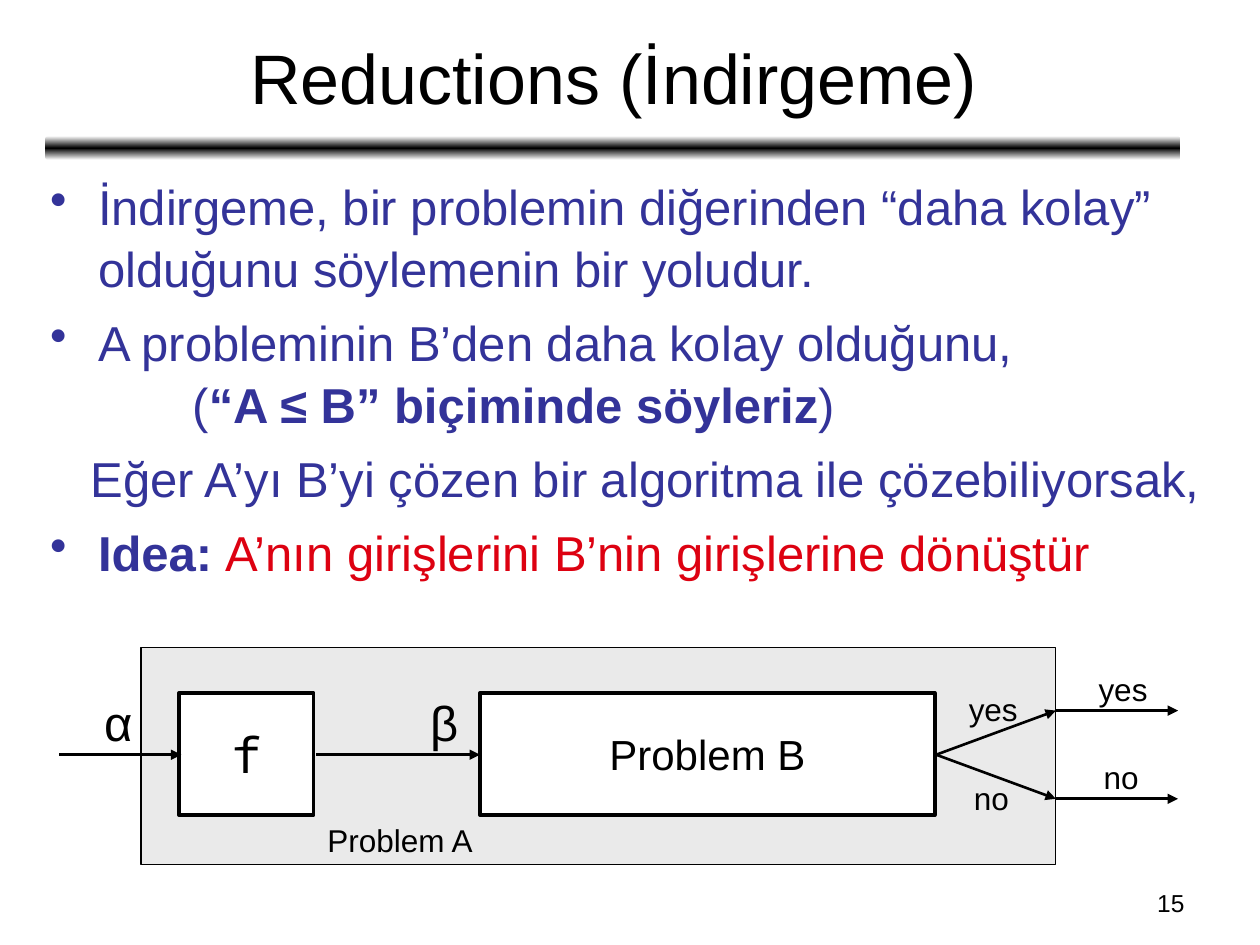
from copy import deepcopy

from pptx import Presentation
from pptx.dml.color import RGBColor
from pptx.enum.shapes import MSO_CONNECTOR, MSO_SHAPE
from pptx.enum.text import MSO_ANCHOR, MSO_AUTO_SIZE, PP_ALIGN
from pptx.oxml.ns import qn
from pptx.util import Inches, Pt

BLACK = RGBColor(0x00, 0x00, 0x00)
WHITE = RGBColor(0xFF, 0xFF, 0xFF)
GRAY = RGBColor(0xEA, 0xEA, 0xEA)
BLUE = RGBColor(0x33, 0x33, 0x99)
RED = RGBColor(0xDD, 0x01, 0x11)


def add_span(para, text, size=18, color=BLACK, bold=False, font="Arial"):
    span = para.add_run()
    span.text = text
    span.font.size = Pt(size)
    span.font.name = font
    span.font.bold = bold
    span.font.color.rgb = color


def write_text(shape, text, align=PP_ALIGN.LEFT, anchor=MSO_ANCHOR.TOP, wrap=False, **style):
    frame = shape.text_frame
    frame.auto_size = MSO_AUTO_SIZE.NONE
    frame.word_wrap = wrap
    frame.vertical_anchor = anchor
    para = frame.paragraphs[0]
    para.alignment = align
    add_span(para, text, **style)


def add_label(page, text, left, top, width, height=0.4, **style):
    box = page.shapes.add_textbox(Inches(left), Inches(top), Inches(width), Inches(height))
    write_text(box, text, **style)


def add_box(page, left, top, width, height, fill, line_width):
    box = page.shapes.add_shape(
        MSO_SHAPE.RECTANGLE, Inches(left), Inches(top), Inches(width), Inches(height))
    box.shadow.inherit = False
    box.fill.solid()
    box.fill.fore_color.rgb = fill
    box.line.color.rgb = BLACK
    box.line.width = Pt(line_width)
    return box


def add_arrow(page, start_x, start_y, end_x, end_y):
    arrow = page.shapes.add_connector(
        MSO_CONNECTOR.STRAIGHT, Inches(start_x), Inches(start_y), Inches(end_x), Inches(end_y))
    arrow.line.color.rgb = BLACK
    arrow.line.width = Pt(1.5)
    properties = arrow._element.spPr
    line = properties.find(qn("a:ln"))
    line.append(line.makeelement(qn("a:tailEnd"), {"type": "triangle"}))
    properties.append(properties.makeelement(qn("a:effectLst"), {}))


def add_divider(page, left, top, width, height):
    bar = page.shapes.add_shape(
        MSO_SHAPE.ROUNDED_RECTANGLE, Inches(left), Inches(top), Inches(width), Inches(height))
    bar.shadow.inherit = False
    bar.line.fill.background()
    bar.fill.gradient()
    bar.fill.gradient_angle = 90
    stop_list = bar._element.spPr.find(qn("a:gradFill")).find(qn("a:gsLst"))
    stop_list.append(deepcopy(stop_list[0]))
    for stop, position, color in zip(bar.fill.gradient_stops, (0, 0.5, 1), (WHITE, BLACK, WHITE)):
        stop.position = position
        stop.color.rgb = color


def place_title(page, left, top, width, height):
    title = page.shapes.title
    title.left, title.top = Inches(left), Inches(top)
    title.width, title.height = Inches(width), Inches(height)
    write_text(title, "Reductions (İndirgeme)", align=PP_ALIGN.CENTER,
               anchor=MSO_ANCHOR.MIDDLE, wrap=True, size=40)


def set_indent(para, margin, bullet):
    properties = para._p.get_or_add_pPr()
    properties.set("marL", str(Inches(margin)))
    properties.set("indent", str(-Inches(margin) if bullet else 0))
    if bullet:
        color = properties.makeelement(qn("a:buClr"), {})
        color.append(color.makeelement(qn("a:srgbClr"), {"val": str(BLUE)}))
        properties.append(color)
        properties.append(properties.makeelement(qn("a:buChar"), {"char": "•"}))


def add_points(page, left, top, width, height):
    box = page.shapes.add_textbox(Inches(left), Inches(top), Inches(width), Inches(height))
    frame = box.text_frame
    frame.word_wrap = True
    points = [
        (0.38, True, 7, [("İndirgeme, bir problemin diğerinden “daha kolay” "
                          "olduğunu söylemenin bir yoludur.", BLUE, False)]),
        (0.38, True, 7, [("A probleminin B’den daha kolay olduğunu,", BLUE, False)]),
        (1.13, False, 0, [("(", BLUE, False), ("“A ≤ B” biçiminde söyleriz", BLUE, True),
                          (")", BLUE, False)]),
        (0.32, False, 7, [("Eğer A’yı B’yi çözen bir algoritma ile çözebiliyorsak,", BLUE, False)]),
        (0.38, True, 7, [("Idea: ", BLUE, True),
                         ("A’nın girişlerini B’nin girişlerine dönüştür", RED, False)]),
    ]
    for index, (margin, bullet, space, spans) in enumerate(points):
        para = frame.add_paragraph() if index else frame.paragraphs[0]
        para.space_before = Pt(space)
        para.line_spacing = 1.05
        set_indent(para, margin, bullet)
        for text, color, bold in spans:
            add_span(para, text, size=28, color=color, bold=bold)


def add_diagram(page, left, top, width, height):
    right = left + width
    middle = top + 0.85
    add_box(page, left, top, width, height, GRAY, 0.75)
    steps = [("f", 0.3, 1.07, 28, "Noto Sans Mono"), ("Problem B", 2.69, 3.61, 24, "Arial")]
    for text, offset, step_width, size, font in steps:
        step = add_box(page, left + offset, top + 0.36, step_width, 0.97, WHITE, 2)
        write_text(step, text, align=PP_ALIGN.CENTER, anchor=MSO_ANCHOR.MIDDLE,
                   size=size, font=font)

    for text, offset, start, end in (("α", -0.39, -0.65, 0.32), ("β", 2.2, 1.39, 2.69)):
        add_arrow(page, left + start, middle, left + end, middle)
        add_label(page, text, left + offset, top + 0.31, 0.44, 0.57, size=28)

    for text, shift, offset, label_width in (("yes", -0.35, 0, 0.59), ("no", 0.35, 0.04, 0.48)):
        add_arrow(page, right - 0.95, middle, right, middle + shift)
        add_arrow(page, right, middle + shift, right + 0.97, middle + shift)
        add_label(page, text, right - 0.79 + offset, middle + shift - 0.21, label_width)
        add_label(page, text, right + 0.24 + offset, middle + shift - 0.37, label_width)

    add_label(page, "Problem A", left + 1.38, top + 1.33, 1.36)


def main():
    deck = Presentation()
    deck.slide_width, deck.slide_height = Inches(10), Inches(7.5)
    page = deck.slides.add_slide(deck.slide_layouts[5])
    add_divider(page, 0.36, 1.08, 9.01, 0.19)
    add_label(page, "15", 7.17, 7, 2.33, 0.35, align=PP_ALIGN.RIGHT, wrap=True, size=14)
    place_title(page, 0.37, 0.11, 9, 0.99)
    add_points(page, 0.3, 1.33, 9.5, 5.55)
    add_diagram(page, 1.12, 5.14, 7.26, 1.72)
    deck.save("out.pptx")


if __name__ == "__main__":
    main()
